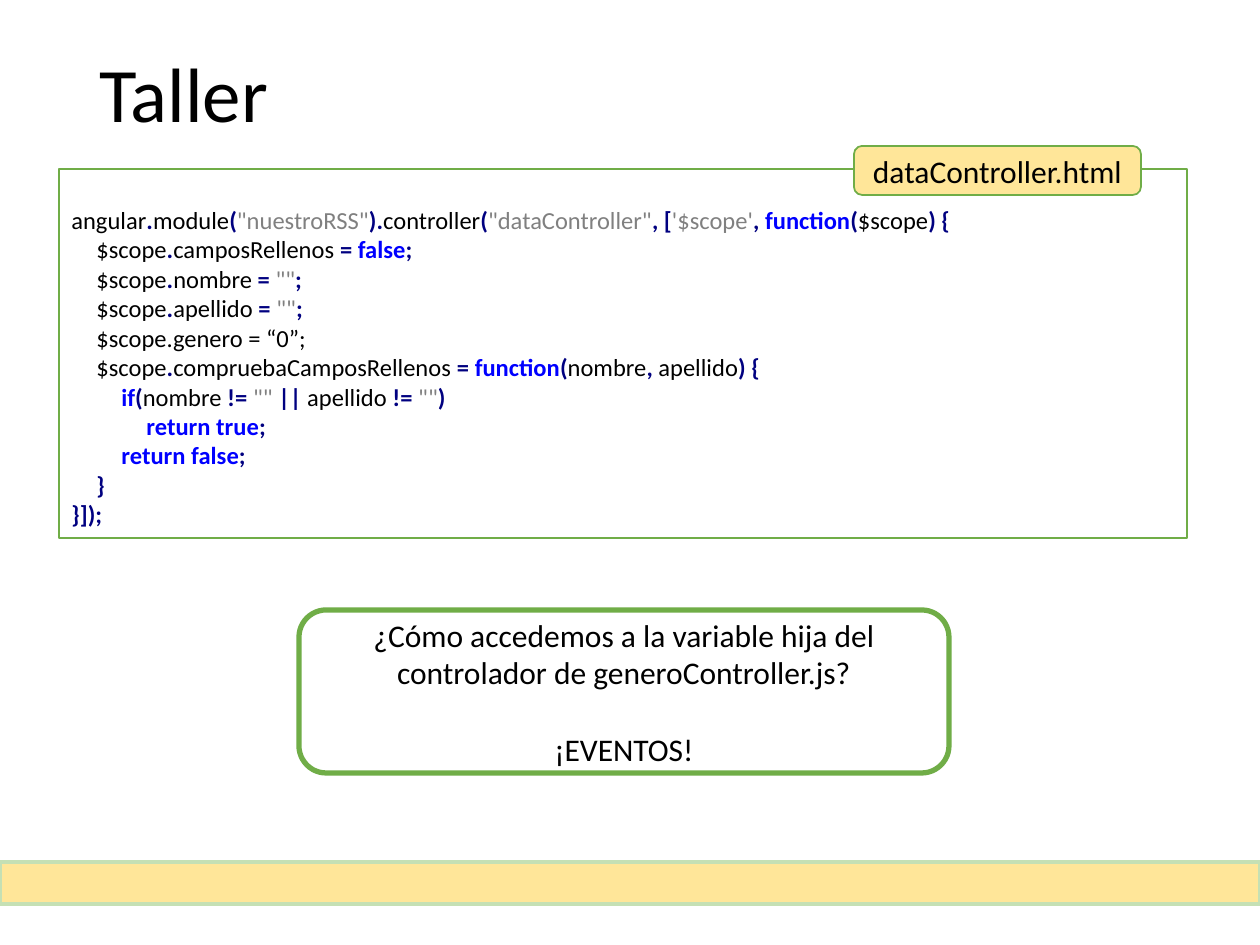
from itertools import groupby

from pptx import Presentation
from pptx.dml.color import RGBColor
from pptx.enum.shapes import MSO_SHAPE as SHAPE
from pptx.enum.text import MSO_ANCHOR as ANCHOR, PP_ALIGN as ALIGN
from pptx.util import Emu, Pt

FONT = "Calibri"
BLACK, WHITE, CREAM = "000000", "FFFFFF", "FFE699"
GREEN, PALE_GREEN = "70AD47", "C5E0B4"
INDENT = 25
KEYWORDS = {"function", "false", "true", "if", "return"}
STYLES = {
    "plain": {"color": BLACK, "bold": False},
    "string": {"color": "808080", "bold": False},
    "sign": {"color": "000080", "bold": True},
    "keyword": {"color": "0000FF", "bold": True},
}
PLAIN_LINE = "$scope.genero = “0”;"
CODE = [  # (indent level, line)
    (0, """angular.module("nuestroRSS").controller("dataController", ['$scope', function($scope) {"""),
    (1, "$scope.camposRellenos = false;"),
    (1, '$scope.nombre = "";'),
    (1, '$scope.apellido = "";'),
    (1, PLAIN_LINE),
    (1, "$scope.compruebaCamposRellenos = function(nombre, apellido) {"),
    (2, 'if(nombre != "" || apellido != "")'),
    (3, "return true;"),
    (2, "return false;"),
    (1, "}"),
    (0, "}]);"),
]


def px(n):
    return Emu(round(n * 914400 / 126))


def rgb(value):
    return RGBColor.from_string(value)


def add_run(p, text, size, color=BLACK, bold=False):
    r = p.add_run()
    r.text = text
    r.font.color.rgb = rgb(color)
    for name, value in {"name": FONT, "size": Pt(size), "bold": bold}.items():
        setattr(r.font, name, value)


def add_paragraphs(tf, texts, size, **fmt):
    for i, text in enumerate(texts):
        p = tf.add_paragraph() if i else tf.paragraphs[0]
        for name, value in fmt.items():
            setattr(p, name, value)
        add_run(p, text, size)


def add_box(slide, kind, box, fill, line, width):
    sp = slide.shapes.add_shape(kind, *map(px, box))
    sp.shadow.inherit = False
    sp.fill.solid()
    sp.fill.fore_color.rgb = rgb(fill)
    sp.line.color.rgb = rgb(line)
    sp.line.width = Pt(width)
    sp.text_frame.word_wrap = True
    sp.text_frame.vertical_anchor = ANCHOR.MIDDLE
    return sp


def add_title(slide, text, box):
    tf = slide.shapes.add_textbox(*map(px, box)).text_frame
    tf.word_wrap = True
    tf.vertical_anchor = ANCHOR.MIDDLE
    add_paragraphs(tf, [text], 44, line_spacing=0.9)


def tokens(line):
    """Split a code line into (style name, text) pairs."""
    kinds, quote = [], None
    for ch in line:
        if quote or ch in "\"'":
            kinds.append("string")
            quote = ch if not quote else None if ch == quote else quote
        elif ch == " ":
            kinds.append("space")
        else:
            kinds.append("plain" if ch.isalnum() or ch == "$" else "sign")
    for kind, pairs in groupby(zip(kinds, line), key=lambda pair: pair[0]):
        text = "".join(ch for _, ch in pairs)
        if text in KEYWORDS:
            kind = "keyword"
        yield ("plain" if kind == "space" else kind), text


def add_code(slide, lines, box):
    tf = add_box(slide, SHAPE.RECTANGLE, box, WHITE, GREEN, 0.75).text_frame
    tf.vertical_anchor = ANCHOR.TOP
    tf.margin_top = px(36)
    for i, (level, line) in enumerate(lines):
        p = tf.add_paragraph() if i else tf.paragraphs[0]
        p.alignment = ALIGN.LEFT
        p._p.get_or_add_pPr().set("marL", str(px(level * INDENT)))
        parts = [("plain", line)] if line == PLAIN_LINE else tokens(line)
        for style, text in parts:
            add_run(p, text, 14, **STYLES[style])


def main():
    prs = Presentation()
    prs.slide_width, prs.slide_height = px(1260), px(945)
    slide = prs.slides.add_slide(prs.slide_layouts[6])

    add_title(slide, "Taller", (87, 50, 1086, 96))
    add_box(slide, SHAPE.RECTANGLE, (0, 862, 1260, 42), CREAM, PALE_GREEN, 2.25)
    add_code(slide, CODE, (59, 169, 1128, 369))

    label = add_box(slide, SHAPE.ROUNDED_RECTANGLE, (854, 146, 287, 49), CREAM, GREEN, 1)
    add_paragraphs(label.text_frame, ["dataController.html"], 18, alignment=ALIGN.CENTER)

    question = add_box(slide, SHAPE.ROUNDED_RECTANGLE, (299, 610, 650, 163), WHITE, GREEN, 3)
    add_paragraphs(
        question.text_frame,
        ["¿Cómo accedemos a la variable hija del controlador de generoController.js?", "¡EVENTOS!"],
        18, alignment=ALIGN.CENTER)
    question.text_frame.paragraphs[1].space_before = Pt(22)

    prs.save("out.pptx")


if __name__ == "__main__":
    main()
